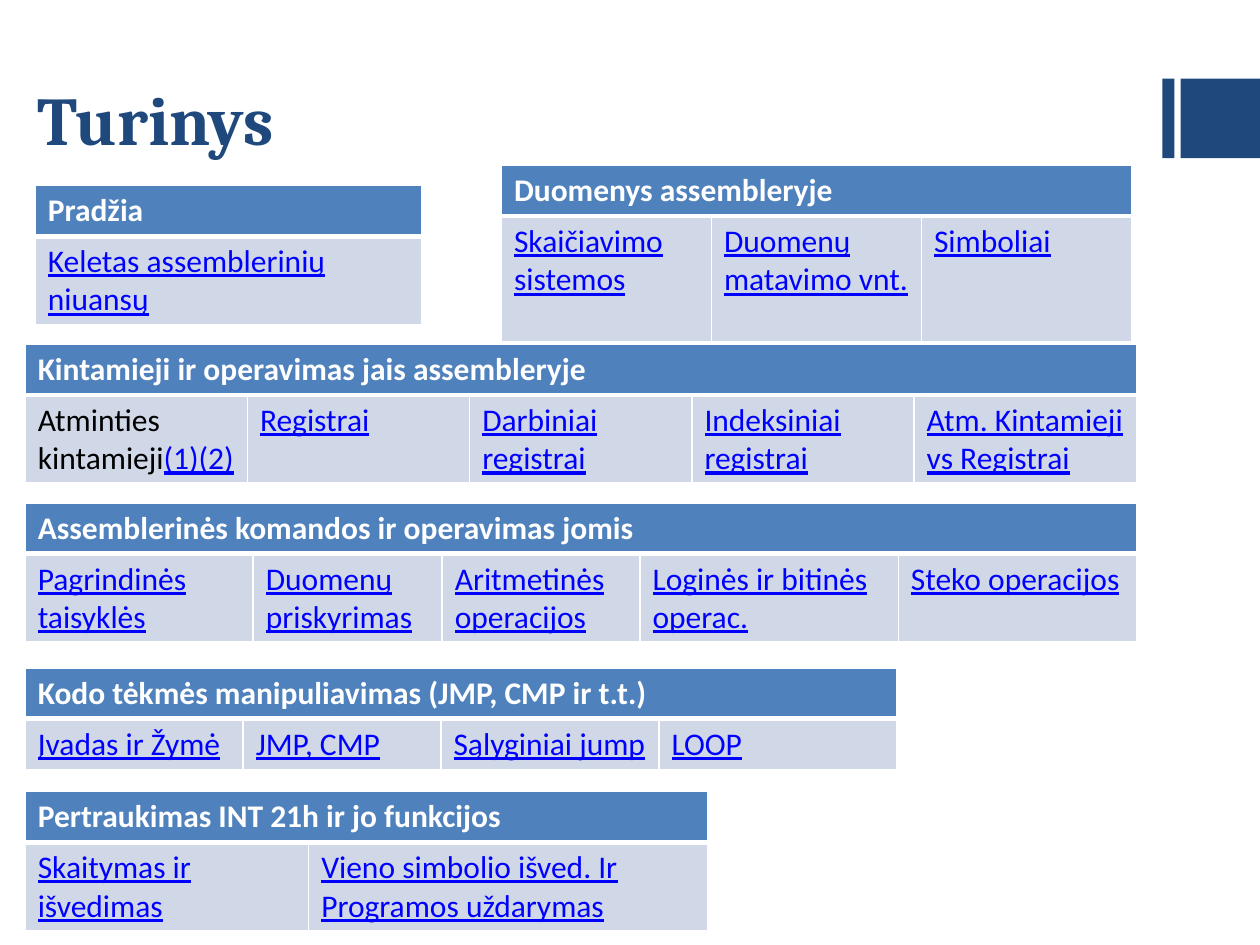
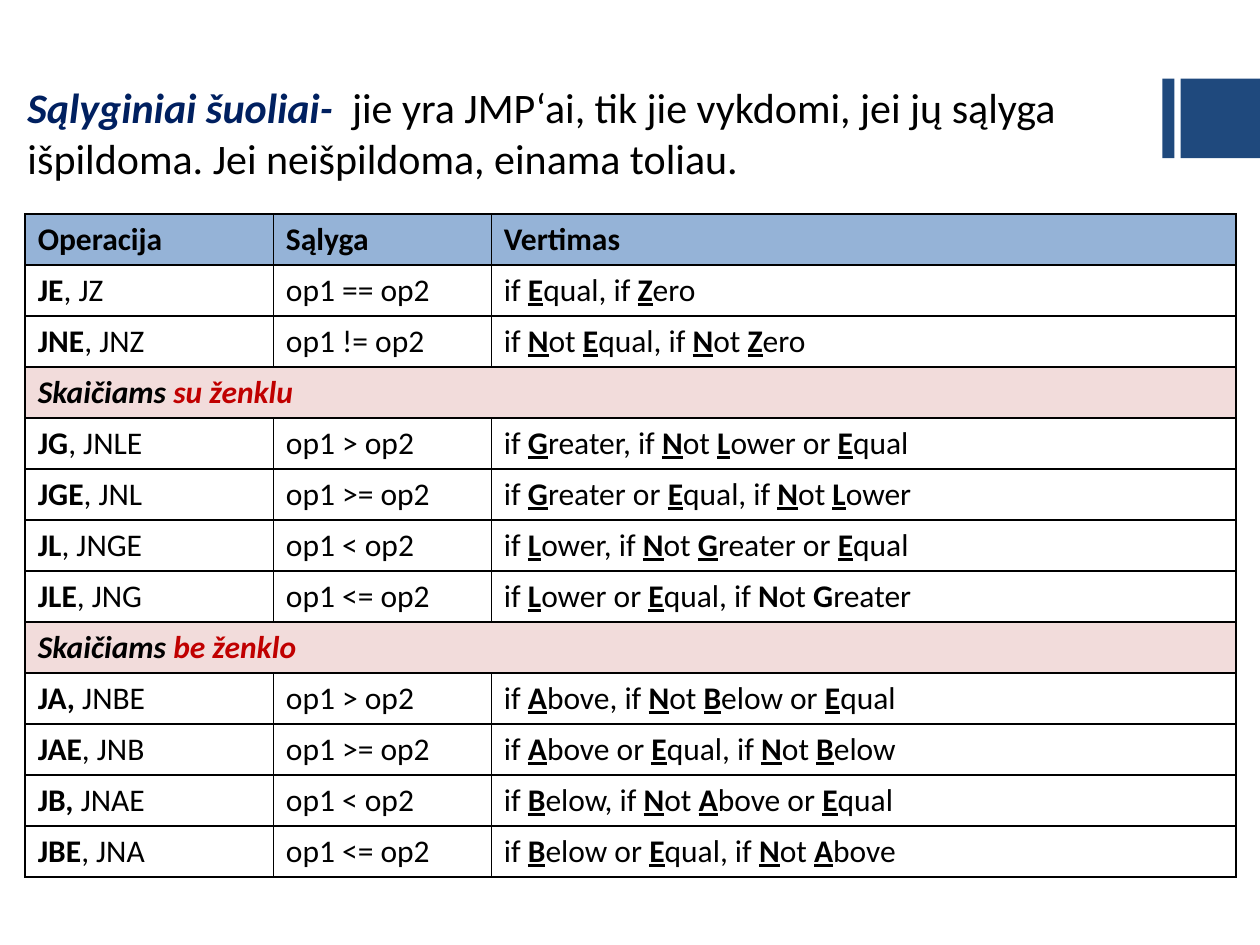
"""Build two slides on assembly language: a contents page and a table of conditional jumps."""
import itertools

import lxml.etree
import pptx
import pptx.dml.color
import pptx.enum.shapes
import pptx.enum.text
import pptx.oxml.ns
import pptx.util

COLORS = {
    "navy": "1F497D", "header": "4F81BD", "body": "D0D8E8", "link": "0000FF",
    "white": "FFFFFF", "black": "000000", "term": "002060", "columns": "95B3D7",
    "section": "F2DCDB", "accent": "C00000",
}
BODY_FONT = "Calibri"
TITLE_FONT = "Cambria"

prs = pptx.Presentation()
prs.slide_width = pptx.util.Inches(10)
prs.slide_height = pptx.util.Inches(7.5)
COL = prs.slide_width / 100
ROW = prs.slide_height / 75
LEFT = 2


def add_runs(p, runs, size=18, font=BODY_FONT):
    for text, color, style in runs:
        r = p.add_run()
        r.text = text
        r.font.name = font
        r.font.size = pptx.util.Pt(size)
        r.font.color.rgb = pptx.dml.color.RGBColor.from_string(COLORS[color])
        r.font.bold = "b" in style
        r.font.italic = "i" in style
        r.font.underline = "u" in style


def add_grid(s, left, top, cols, rows, line, fills, head_gap=1):
    frame = s.shapes.add_table(len(rows), len(cols), int(left * COL), int(top * ROW),
                               int(sum(cols) * COL), int(sum(rows) * ROW))
    table = frame.table
    table.first_row = table.horz_banding = False
    for column, width in zip(table.columns, cols):
        column.width = int(width * COL)
    for i, (row, height) in enumerate(zip(table.rows, rows)):
        row.height = int(height * ROW)
        for cell in row.cells:
            tcPr = cell._tc.get_or_add_tcPr()
            for side in "LRTB":
                wide = (i, side) in ((0, "B"), (1, "T"))
                ln = lxml.etree.SubElement(tcPr, pptx.oxml.ns.qn("a:ln" + side))
                ln.set("w", str(pptx.util.Pt(head_gap if wide else 1)))
                fill = lxml.etree.SubElement(ln, pptx.oxml.ns.qn("a:solidFill"))
                color = lxml.etree.SubElement(fill, pptx.oxml.ns.qn("a:srgbClr"))
                color.set("val", COLORS[line])
            if fills[i]:
                cell.fill.solid()
                cell.fill.fore_color.rgb = pptx.dml.color.RGBColor.from_string(COLORS[fills[i]])
            else:
                cell.fill.background()
    return table


slides = [prs.slides.add_slide(prs.slide_layouts[6]) for _ in range(2)]
for s in slides:
    for left, width in ((92.25, 0.95), (93.7, 6.3)):
        sp = s.shapes.add_shape(pptx.enum.shapes.MSO_SHAPE.RECTANGLE, int(left * COL),
                                int(6.25 * ROW), int(width * COL), int(6.3 * ROW))
        sp.shadow.inherit = False
        sp.fill.solid()
        sp.fill.fore_color.rgb = pptx.dml.color.RGBColor.from_string(COLORS["navy"])
        sp.line.fill.background()
contents, jumps = slides

sp = contents.shapes.add_textbox(int(LEFT * COL), int(0.6 * ROW), int(90 * COL), int(12.5 * ROW))
tf = sp.text_frame
tf.word_wrap = True
tf.vertical_anchor = pptx.enum.text.MSO_ANCHOR.BOTTOM
add_runs(tf.paragraphs[0], [("Turinys", "navy", "b")], 39, TITLE_FONT)

LINE, TWO_LINES = 4.05, 7
topics = [
    (39.8, 13.1, [50 / 3] * 3, 10, "Duomenys assembleryje",
     ["Skaičiavimo sistemos", "Duomenų matavimo vnt.", "Simboliai"]),
    (LEFT, 27.3, [88.2 / 5] * 5, TWO_LINES, "Kintamieji ir operavimas jais assembleryje",
     ["Atminties kintamieji|(1)(2)", "Registrai", "Darbiniai registrai",
      "Indeksiniai registrai", "Atm. Kintamieji vs Registrai"]),
    (LEFT, 39.9, [18.1, 15, 15.7, 20.5, 18.9], TWO_LINES,
     "Assemblerinės komandos ir operavimas jomis",
     ["Pagrindinės taisyklės", "Duomenų priskyrimas", "Aritmetinės operacijos",
      "Loginės ir bitinės operac.", "Steko operacijos"]),
    (LEFT, 53, [17.3, 15.7, 17.3, 18.9], LINE, "Kodo tėkmės manipuliavimas (JMP, CMP ir t.t.)",
     ["Įvadas ir Žymė", "JMP, CMP", "Sąlyginiai jump", "LOOP"]),
    (LEFT, 62.8, [22.5, 31.7], TWO_LINES, "Pertraukimas INT 21h ir jo funkcijos",
     ["Skaitymas ir išvedimas", "Vieno simbolio išved. Ir Programos uždarymas"]),
    (2.8, 14.7, [30.7], TWO_LINES, "Pradžia", ["Keletas assemblerinių niuansų"]),
]
for left, top, cols, height, heading, entries in topics:
    table = add_grid(contents, left, top, cols, [LINE, height], "white", ["header", "body"], 3)
    if len(cols) > 1:
        table.cell(0, 0).merge(table.cell(0, len(cols) - 1))
    add_runs(table.cell(0, 0).text_frame.paragraphs[0], [(heading, "white", "b")])
    for j, entry in enumerate(entries):
        plain, _, link = entry.rpartition("|")
        runs = [(plain, "black", "")] if plain else []
        add_runs(table.cell(1, j).text_frame.paragraphs[0], runs + [(link, "link", "u")])

sp = jumps.shapes.add_textbox(int(1.2 * COL), int(6 * ROW), int(91.3 * COL), int(9 * ROW))
tf = sp.text_frame
tf.word_wrap = True
add_runs(tf.paragraphs[0], [
    ("Sąlyginiai šuoliai-  ", "term", "bi"),
    ("jie yra JMP‘ai, tik jie vykdomi, jei jų sąlyga išpildoma. "
     "Jei neišpildoma, einama toliau.", "black", ""),
], 24)

HEADINGS = ("Operacija", "Sąlyga", "Vertimas")
operations = [
    HEADINGS,
    ("JE|, JZ", "==", "if Equal, if Zero"),
    ("JNE|, JNZ", "!=", "if Not Equal, if Not Zero"),
    ("su ženklu",),
    ("JG|, JNLE", ">", "if Greater, if Not Lower or Equal"),
    ("JGE|, JNL", ">=", "if Greater or Equal, if Not Lower"),
    ("JL|, JNGE", "<", "if Lower, if Not Greater or Equal"),
    ("JLE|, JNG", "<=", "if Lower or Equal, if Not Greater"),
    ("be ženklo",),
    ("JA, |JNBE", ">", "if Above, if Not Below or Equal"),
    ("JAE|, JNB", ">=", "if Above or Equal, if Not Below"),
    ("JB, |JNAE", "<", "if Below, if Not Above or Equal"),
    ("JBE|, JNA", "<=", "if Below or Equal, if Not Above"),
]
UNDERLINED = {"JLE|, JNG": 2}
fills = ["columns" if op == HEADINGS else "section" if len(op) == 1 else None
         for op in operations]
table = add_grid(jumps, LEFT, 17, [19.7, 17.3, 59.1], [LINE] * len(operations), "black", fills)
for i, op in enumerate(operations):
    if op == HEADINGS:
        cells = [[(text, "black", "b")] for text in op]
    elif len(op) == 1:
        table.cell(i, 0).merge(table.cell(i, 2))
        cells = [[("Skaičiams ", "black", "bi"), (op[0], "accent", "bi")]]
    else:
        name, condition, meaning = op
        main, _, synonym = name.partition("|")
        words, initials = [], 0
        for upper, letters in itertools.groupby(meaning, str.isupper):
            initials += upper
            marked = initials <= UNDERLINED.get(name, 4)
            words.append(("".join(letters), "black", ("bu" if marked else "b") if upper else ""))
        cells = [[(main, "black", "b"), (synonym, "black", "")],
                 [(f"op1 {condition} op2", "black", "")], words]
    for j, runs in enumerate(cells):
        add_runs(table.cell(i, j).text_frame.paragraphs[0], runs)

prs.save("out.pptx")
